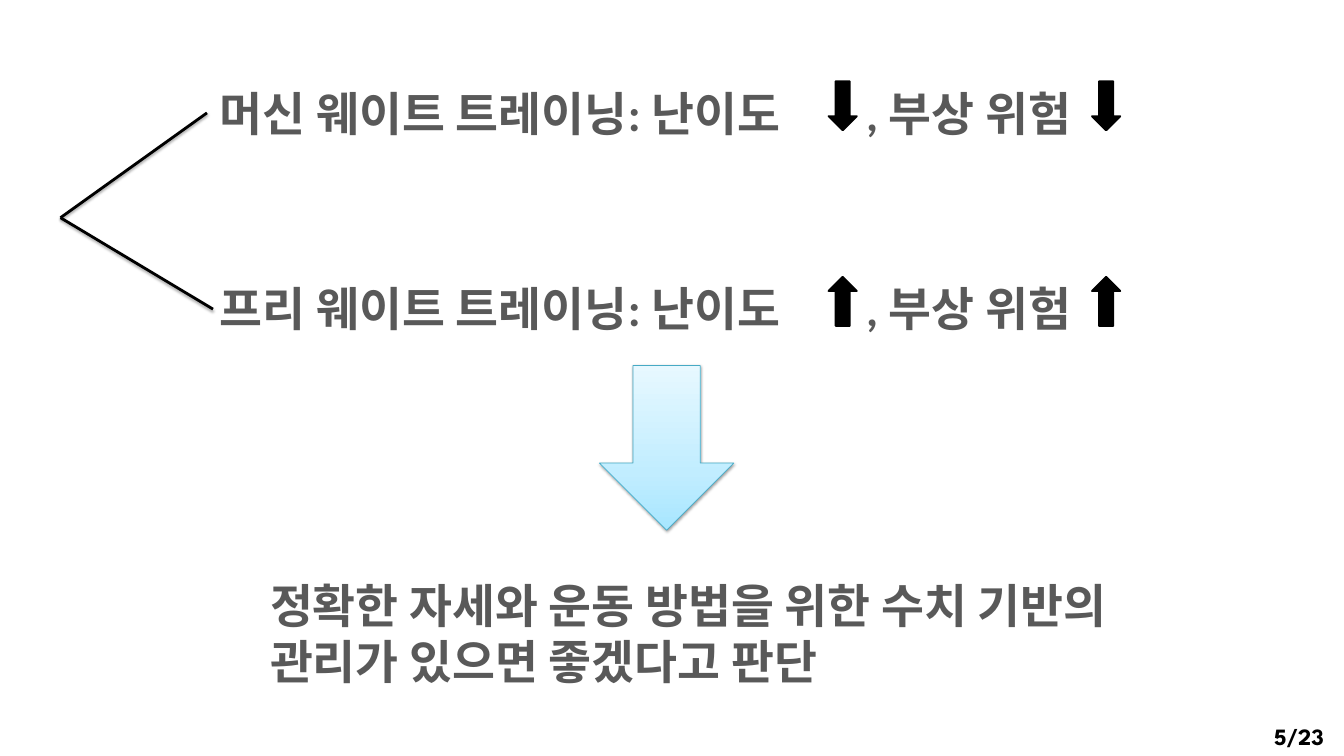
import dataclasses

import lxml.etree
import pptx
import pptx.dml.color
import pptx.enum.shapes
import pptx.enum.text
import pptx.oxml.ns
import pptx.util

Inches = pptx.util.Inches
Pt = pptx.util.Pt
qn = pptx.oxml.ns.qn
DOWN_ARROW = pptx.enum.shapes.MSO_SHAPE.DOWN_ARROW


@dataclasses.dataclass(frozen=True)
class Theme:
    body_font: str = "Calibri"
    number_font: str = "League Spartan"
    body_size: int = 50
    number_size: int = 25
    text: str = "595959"
    black: str = "000000"
    arrow_edge: str = "46AAC5"
    # Bottom to top: percent along the arrow, colour
    arrow_stops: tuple = ((0, "A7E6FF"), (35, "C1EDFF"), (100, "E7F8FF"))


THEME = Theme()


def rgb(value):
    return pptx.dml.color.RGBColor.from_string(value)


def add_colour(parent, value):
    return lxml.etree.SubElement(parent, qn("a:srgbClr"), val=value)


def set_shadow(shape, opacity, distance):
    """Give a shape a soft black shadow falling straight down."""
    effects = lxml.etree.SubElement(shape._element.spPr, qn("a:effectLst"))
    shadow = lxml.etree.SubElement(
        effects, qn("a:outerShdw"), blurRad=str(Pt(3.1)), dist=str(Pt(distance)),
        dir="5400000", rotWithShape="0")
    colour = add_colour(shadow, THEME.black)
    lxml.etree.SubElement(colour, qn("a:alpha"), val=str(opacity * 1000))


def add_text(page, left, top, width, height, text, tab=None, font=THEME.body_font,
             size=THEME.body_size, colour=THEME.text, align=None):
    box = page.shapes.add_textbox(Inches(left), Inches(top), Inches(width), Inches(height))
    box.text_frame.word_wrap = True
    box.text_frame.text = text
    para = box.text_frame.paragraphs[0]
    para.alignment = align
    if tab is not None:
        tabs = lxml.etree.SubElement(para._p.get_or_add_pPr(), qn("a:tabLst"))
        lxml.etree.SubElement(tabs, qn("a:tab"), pos=str(Inches(tab)), algn="l")
    for span in para.runs:
        span.font.name = font
        span.font.size = Pt(size)
        span.font.bold = True
        span.font.color.rgb = rgb(colour)
        for script in ("a:ea", "a:cs"):
            lxml.etree.SubElement(span._r.get_or_add_rPr(), qn(script), typeface=font)


def add_branch(page, left, top, ends):
    """Draw lines fanning out from one point to the given offsets."""
    for across, down in ends:
        line = page.shapes.add_connector(
            pptx.enum.shapes.MSO_CONNECTOR.STRAIGHT, Inches(left), Inches(top),
            Inches(left + across), Inches(top + down))
        line.line.color.rgb = rgb(THEME.black)
        line.line.width = Pt(3)
        set_shadow(line, 35, 1.8)


def add_training_row(page, left, top, name, rotation):
    """Place a training type with an arrow after each of its two ratings."""
    # The tab leaves room for the first arrow
    add_text(page, left, top, 13.5, 0.94, f"{name}: 난이도\t, 부상 위험", tab=9.62)
    for offset in (9.16, 13.08):
        arrow = page.shapes.add_shape(
            DOWN_ARROW, Inches(left + offset), Inches(top), Inches(0.42), Inches(0.73))
        arrow.rotation = rotation
        arrow.fill.solid()
        arrow.fill.fore_color.rgb = rgb(THEME.black)
        arrow.line.color.rgb = rgb(THEME.black)
        arrow.line.width = Pt(2)
        arrow.shadow.inherit = False


def add_conclusion_arrow(page, left, top, width, height):
    arrow = page.shapes.add_shape(
        DOWN_ARROW, Inches(left), Inches(top), Inches(width), Inches(height))
    arrow.fill.gradient()
    arrow.fill.gradient_angle = 90
    stops = arrow._element.spPr.find(".//" + qn("a:gsLst"))
    for stop in list(stops):
        stops.remove(stop)
    for percent, colour in THEME.arrow_stops:
        stop = lxml.etree.SubElement(stops, qn("a:gs"), pos=str(percent * 1000))
        add_colour(stop, colour)
    arrow.line.color.rgb = rgb(THEME.arrow_edge)
    arrow.line.width = Pt(0.75)
    set_shadow(arrow, 38, 1.6)


def add_page_number(page, left, top, width, height):
    add_text(page, left, top, width, height, "5/23", font=THEME.number_font,
             size=THEME.number_size, colour=THEME.black,
             align=pptx.enum.text.PP_ALIGN.CENTER)


def main():
    deck = pptx.Presentation()
    deck.slide_width = Inches(20)
    deck.slide_height = Inches(11.25)
    page = deck.slides.add_slide(deck.slide_layouts[6])

    # Two kinds of training compared
    add_branch(page, 0.9, 3.24, ((2.18, -1.56), (2.27, 1.36)))
    add_training_row(page, 3.17, 1.21, "머신 웨이트 트레이닝", 0)
    add_training_row(page, 3.17, 4.12, "프리 웨이트 트레이닝", 180)

    # What follows from the comparison
    add_conclusion_arrow(page, 8.92, 5.44, 2, 2.45)
    add_text(page, 3.92, 8.54, 13.17, 1.78,
             "정확한 자세와 운동 방법을 위한 수치 기반의 관리가 있으면 좋겠다고 판단")
    add_page_number(page, 18.69, 10.69, 1.28, 0.52)

    deck.save("out.pptx")


if __name__ == "__main__":
    main()
